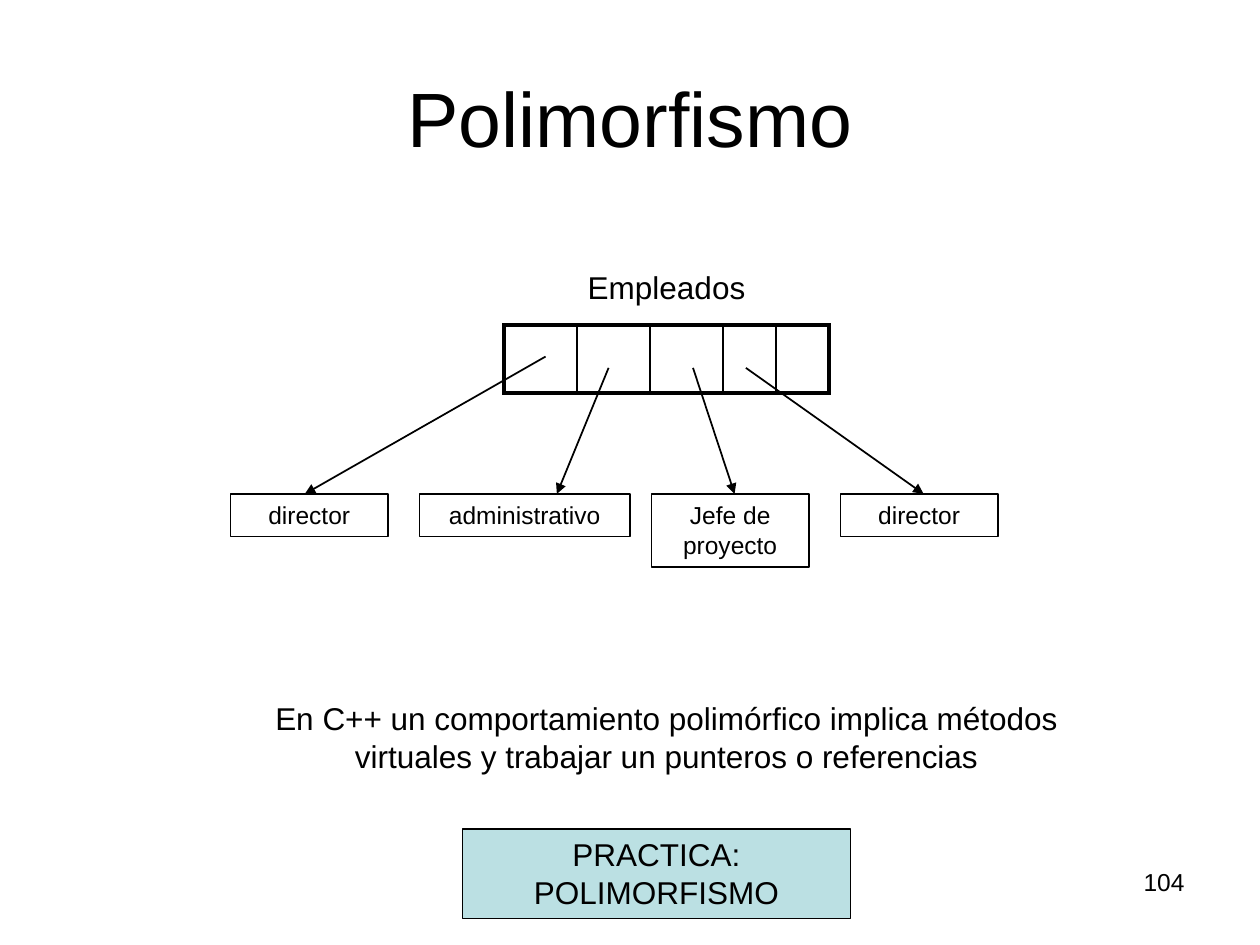
from pptx import Presentation
from pptx.util import Inches, Pt
from pptx.dml.color import RGBColor
from pptx.enum.shapes import MSO_CONNECTOR, MSO_SHAPE
from pptx.enum.text import MSO_ANCHOR, PP_ALIGN
from pptx.oxml.ns import qn
from lxml import etree

RECT, STRAIGHT = MSO_SHAPE.RECTANGLE, MSO_CONNECTOR.STRAIGHT
CENTER, RIGHT = PP_ALIGN.CENTER, PP_ALIGN.RIGHT
TOP, MIDDLE = MSO_ANCHOR.TOP, MSO_ANCHOR.MIDDLE
BLACK, AQUA = "000000", "BBE0E3"


def color(value):
    return RGBColor.from_string(value)


def write(sp, text, size, align=CENTER, anchor=TOP):
    tf = sp.text_frame
    tf.word_wrap = True
    tf.vertical_anchor = anchor
    p = tf.paragraphs[0]
    p.alignment = align
    r = p.add_run()
    r.text = text
    r.font.size = Pt(size)
    r.font.name = "Arial"
    r.font.color.rgb = color(BLACK)


prs = Presentation()
prs.slide_width, prs.slide_height = Inches(10), Inches(7.5)
s = prs.slides.add_slide(prs.slide_layouts[5])

# Title
title = s.shapes.title
title.left, title.top = Inches(0.5), Inches(0.3)
title.width, title.height = Inches(9), Inches(1.25)
write(title, "Polimorfismo", 44, anchor=MIDDLE)

# Array of employees: heavy outer frame, thin inner dividers
widths = [0.58, 0.58, 0.58, 0.42, 0.42]
table = s.shapes.add_table(1, len(widths), Inches(4), Inches(2.58),
                           Inches(sum(widths)), Inches(0.54)).table
table.first_row = table.horz_banding = False
for i, width in enumerate(widths):
    table.columns[i].width = Inches(width)
    cell = table.cell(0, i)
    tcPr = cell._tc.get_or_add_tcPr()
    borders = {"lnL": 2.25 if i == 0 else 1,
               "lnR": 2.25 if i == len(widths) - 1 else 1,
               "lnT": 2.25, "lnB": 2.25}
    for tag, weight in borders.items():
        ln = etree.SubElement(tcPr, qn("a:" + tag), w=str(Pt(weight)))
        fill = etree.SubElement(ln, qn("a:solidFill"))
        etree.SubElement(fill, qn("a:srgbClr"), val=BLACK)
    cell.fill.background()

# Boxes: objects in a row, then the exercise
row = 3.92
boxes = [
    ("director", 1.83, row, 1.25, 0.34, 14, None),
    ("administrativo", 3.33, row, 1.67, 0.34, 14, None),
    ("Jefe de proyecto", 5.17, row, 1.25, 0.58, 14, None),
    ("director", 6.67, row, 1.25, 0.34, 14, None),
    ("PRACTICA: POLIMORFISMO", 3.67, 6.58, 3.08, 0.71, 18, AQUA),
]
for text, x, y, w, h, size, fill in boxes:
    sp = s.shapes.add_shape(RECT, Inches(x), Inches(y), Inches(w), Inches(h))
    sp.shadow.inherit = False
    if fill:
        sp.fill.solid()
        sp.fill.fore_color.rgb = color(fill)
    else:
        sp.fill.background()
    sp.line.color.rgb = color(BLACK)
    sp.line.width = Pt(0.75)
    write(sp, text, size)

# Pointers from the array to the objects
for x1, y1, x2 in [(4.33, 2.83, 2.42), (4.83, 2.92, 4.42),
                   (5.5, 2.92, 5.83), (5.92, 2.92, 7.33)]:
    arrow = s.shapes.add_connector(STRAIGHT, Inches(x1), Inches(y1),
                                   Inches(x2), Inches(row))
    arrow.line.color.rgb = color(BLACK)
    arrow.line.width = Pt(1)
    etree.SubElement(arrow.line._get_or_add_ln(), qn("a:tailEnd"), type="triangle")
    etree.SubElement(arrow._element.spPr, qn("a:effectLst"))

# Free text and page number
for text, x, y, w, h, size, align in [
    ("Empleados", 4, 2.08, 2.58, 0.4, 18, CENTER),
    ("En C++ un comportamiento polimórfico implica métodos virtuales "
     "y trabajar un punteros o referencias", 1.75, 5.5, 7.08, 0.7, 18, CENTER),
    ("104", 7.17, 6.83, 2.33, 0.52, 14, RIGHT),
]:
    sp = s.shapes.add_textbox(Inches(x), Inches(y), Inches(w), Inches(h))
    write(sp, text, size, align)

prs.save("out.pptx")
